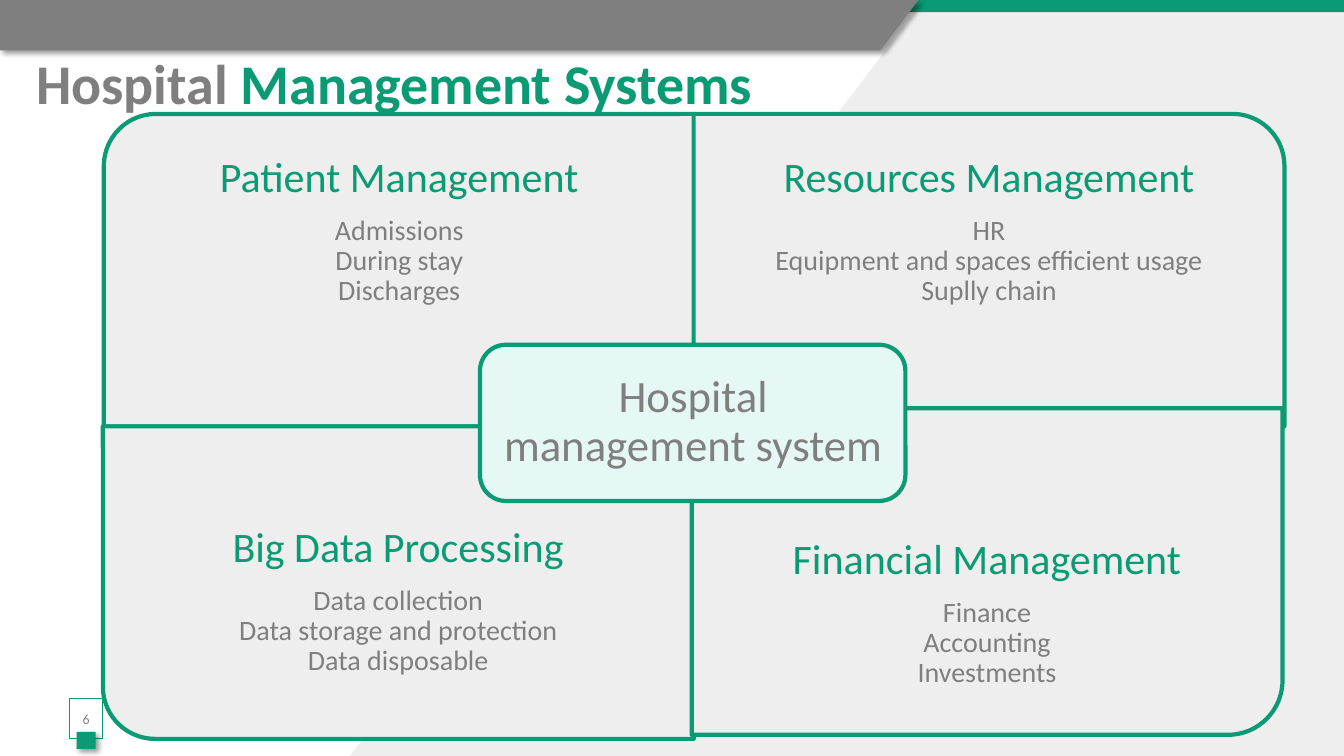
from dataclasses import dataclass

from lxml.etree import SubElement
from pptx import Presentation
from pptx.dml.color import RGBColor
from pptx.enum.shapes import MSO_SHAPE
from pptx.enum.text import MSO_ANCHOR, PP_ALIGN
from pptx.oxml import parse_xml
from pptx.oxml.ns import nsdecls, qn
from pptx.util import Inches, Pt


@dataclass(frozen=True)
class Theme:
    font: str = "Calibri"
    green: RGBColor = RGBColor(0x0B, 0x9B, 0x74)
    gray: RGBColor = RGBColor(0x7F, 0x7F, 0x7F)
    number_gray: RGBColor = RGBColor(0x85, 0x85, 0x85)
    panel: RGBColor = RGBColor(0xEE, 0xEE, 0xEE)
    mint: RGBColor = RGBColor(0xE6, 0xF8, 0xF5)
    white: RGBColor = RGBColor(0xFF, 0xFF, 0xFF)
    title_size: Pt = Pt(40)
    core_size: Pt = Pt(32)
    heading_size: Pt = Pt(30)
    item_size: Pt = Pt(20)
    number_size: Pt = Pt(10)
    heading_gap: Pt = Pt(10.5)
    border: Pt = Pt(3)


THEME = Theme()
SHADOW = (
    f'<a:effectLst {nsdecls("a")}><a:outerShdw blurRad="50800" dist="38100" '
    'dir="2700000" algn="tl" rotWithShape="0"><a:srgbClr val="000000">'
    '<a:alpha val="40000"/></a:srgbClr></a:outerShdw></a:effectLst>'
)

# Panel: left, top, width, height, rotation, text top, text height, heading, items
PANELS = [
    (1.03, 1.13, 5.86, 3.1, 270, 1.13, 2.33, "Patient Management",
     ["Admissions", "During stay", "Discharges"]),
    (6.88, 1.13, 5.86, 3.1, 0, 1.13, 2.33, "Resources Management",
     ["HR", "Equipment and spaces efficient usage", "Suplly chain"]),
    (1.02, 4.23, 5.86, 3.1, 180, 4.8, 2.33, "Big Data Processing",
     ["Data collection", "Data storage and protection", "Data disposable"]),
    (6.86, 4.05, 5.86, 3.24, 90, 4.87, 2.43, "Financial Management",
     ["Finance", "Accounting", "Investments"]),
]


def style(shape, fill, line=None, line_width=THEME.border, shadow=False):
    shape.fill.solid()
    shape.fill.fore_color.rgb = fill
    if line is None:
        shape.line.fill.background()
    else:
        shape.line.color.rgb = line
        shape.line.width = line_width
    if shadow:
        shape._element.spPr.append(parse_xml(SHADOW))
    else:
        shape.shadow.inherit = False


def add_block(page, kind, left, top, width, height, fill, **options):
    block = page.shapes.add_shape(
        kind, Inches(left), Inches(top), Inches(width), Inches(height))
    style(block, fill, **options)
    return block


def add_outline(page, points, fill, shadow=False):
    corners = [(Inches(x), Inches(y)) for x, y in points]
    builder = page.shapes.build_freeform(*corners[0], scale=1.0)
    builder.add_line_segments(corners[1:], close=True)
    style(builder.convert_to_shape(), fill, shadow=shadow)


def set_font(font, size, color):
    font.name = THEME.font
    font.size = size
    font.color.rgb = color


def add_text(page, left, top, width, height, inset, lines):
    """Centred text; lines holds (text, size, color) for each paragraph."""
    box = page.shapes.add_textbox(
        Inches(left), Inches(top), Inches(width), Inches(height))
    frame = box.text_frame
    frame.word_wrap = True
    frame.vertical_anchor = MSO_ANCHOR.MIDDLE
    frame.margin_left = frame.margin_right = Inches(inset)
    frame.margin_top = frame.margin_bottom = Inches(inset)
    for index, (text, size, color) in enumerate(lines):
        para = frame.add_paragraph() if index else frame.paragraphs[0]
        para.text = text
        para.alignment = PP_ALIGN.CENTER
        para.line_spacing = 0.9
        if index < len(lines) - 1:
            para.space_after = THEME.heading_gap
        set_font(para.font, size, color)


def add_background(page):
    add_outline(page, [(9.11, 0), (13.33, 0), (13.33, 7.5), (3.47, 7.5),
                       (9.11, 0.07)], THEME.panel)
    add_block(page, MSO_SHAPE.RECTANGLE, 0, 0, 13.33, 0.12, THEME.green)
    add_outline(page, [(0, 0), (9.11, 0), (8.73, 0.5), (0, 0.5)],
                THEME.gray, shadow=True)


def add_title(page):
    title = page.shapes.title
    title.left, title.top = Inches(0.26), Inches(0.43)
    title.width, title.height = Inches(11.82), Inches(0.77)
    # Stack the title above the background
    title._element.getparent().append(title._element)
    frame = title.text_frame
    frame.vertical_anchor = MSO_ANCHOR.MIDDLE
    para = frame.paragraphs[0]
    para.alignment = PP_ALIGN.LEFT
    for text, color in (("Hospital", THEME.gray),
                        (" Management Systems", THEME.green)):
        span = para.add_run()
        span.text = text
        set_font(span.font, THEME.title_size, color)
        span.font.bold = True


def add_page_number(page, number):
    box = add_block(page, MSO_SHAPE.RECTANGLE, 0.69, 6.93, 0.33, 0.4,
                    THEME.white, line=THEME.green, line_width=Pt(0.75))
    fill_color = box._element.spPr.find(qn("a:solidFill"))[0]
    SubElement(fill_color, qn("a:alpha")).set("val", "82000")
    frame = box.text_frame
    frame.margin_left = frame.margin_right = 0
    frame.vertical_anchor = MSO_ANCHOR.MIDDLE
    para = frame.paragraphs[0]
    para.text = number
    para.alignment = PP_ALIGN.CENTER
    set_font(para.font, THEME.number_size, THEME.number_gray)
    add_block(page, MSO_SHAPE.RECTANGLE, 0.76, 7.26, 0.19, 0.17,
              THEME.green, shadow=True)


def add_panel(page, left, top, width, height, rotation, text_top, text_height,
              heading, items):
    # A quarter turn swaps the frame's sides about the same centre
    wide, high = (height, width) if rotation % 180 else (width, height)
    panel = add_block(page, MSO_SHAPE.ROUND_1_RECTANGLE,
                      left + (width - wide) / 2, top + (height - high) / 2,
                      wide, high, THEME.panel, line=THEME.green)
    panel.rotation = rotation
    add_text(page, left, text_top, width, text_height, 0.23, [
        (heading, THEME.heading_size, THEME.green),
        ("\v".join(items), THEME.item_size, THEME.gray),
    ])


def add_core(page):
    add_block(page, MSO_SHAPE.ROUNDED_RECTANGLE, 4.76, 3.42, 4.22, 1.55,
              THEME.mint, line=THEME.green)
    add_text(page, 4.84, 3.49, 4.07, 1.4, 0.13,
             [("Hospital management system", THEME.core_size, THEME.gray)])


def main():
    deck = Presentation()
    deck.slide_width, deck.slide_height = Inches(13.33), Inches(7.5)
    page = deck.slides.add_slide(deck.slide_layouts[5])
    add_background(page)
    add_title(page)
    add_page_number(page, "6")
    for panel in PANELS:
        add_panel(page, *panel)
    add_core(page)
    deck.save("out.pptx")


if __name__ == "__main__":
    main()
